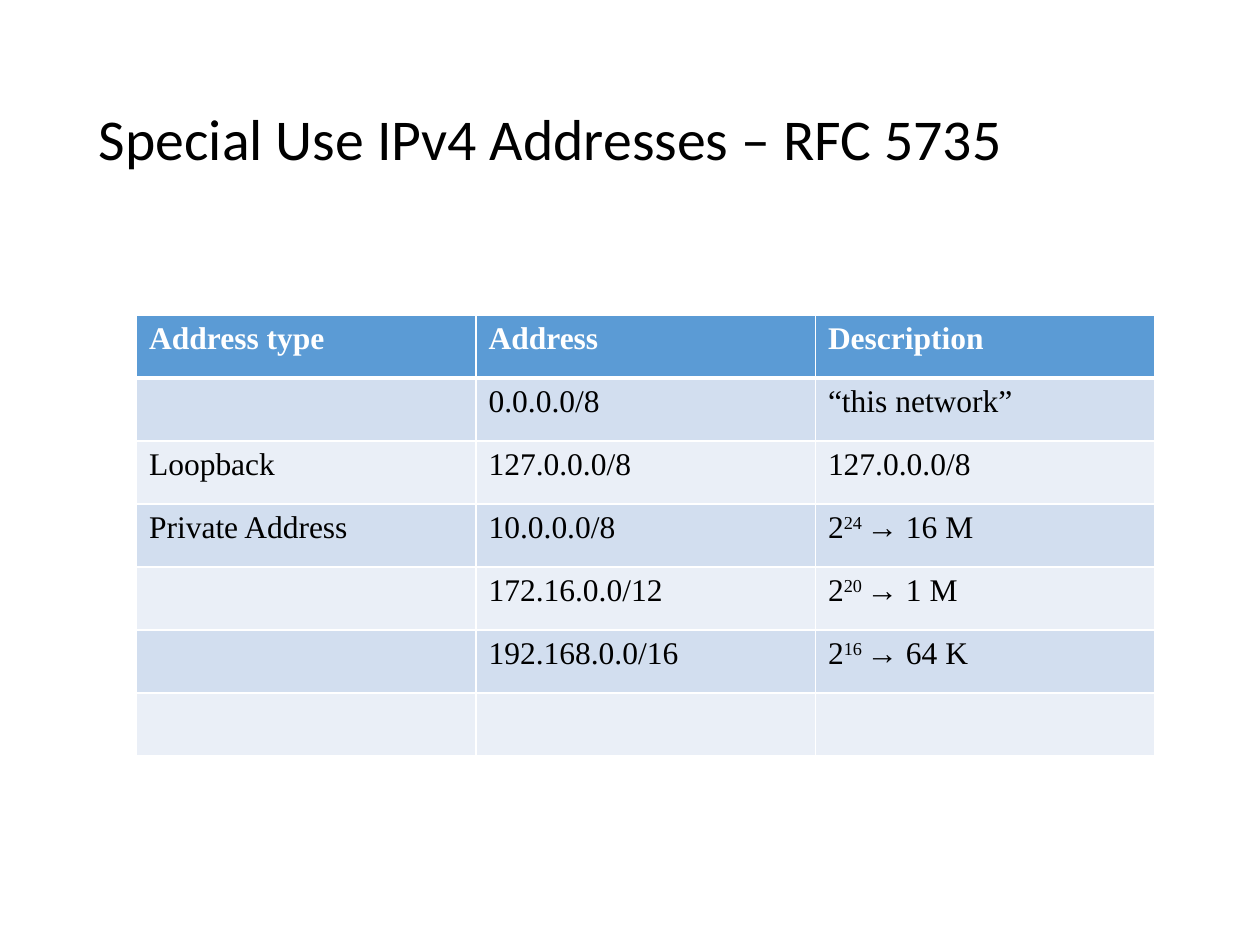
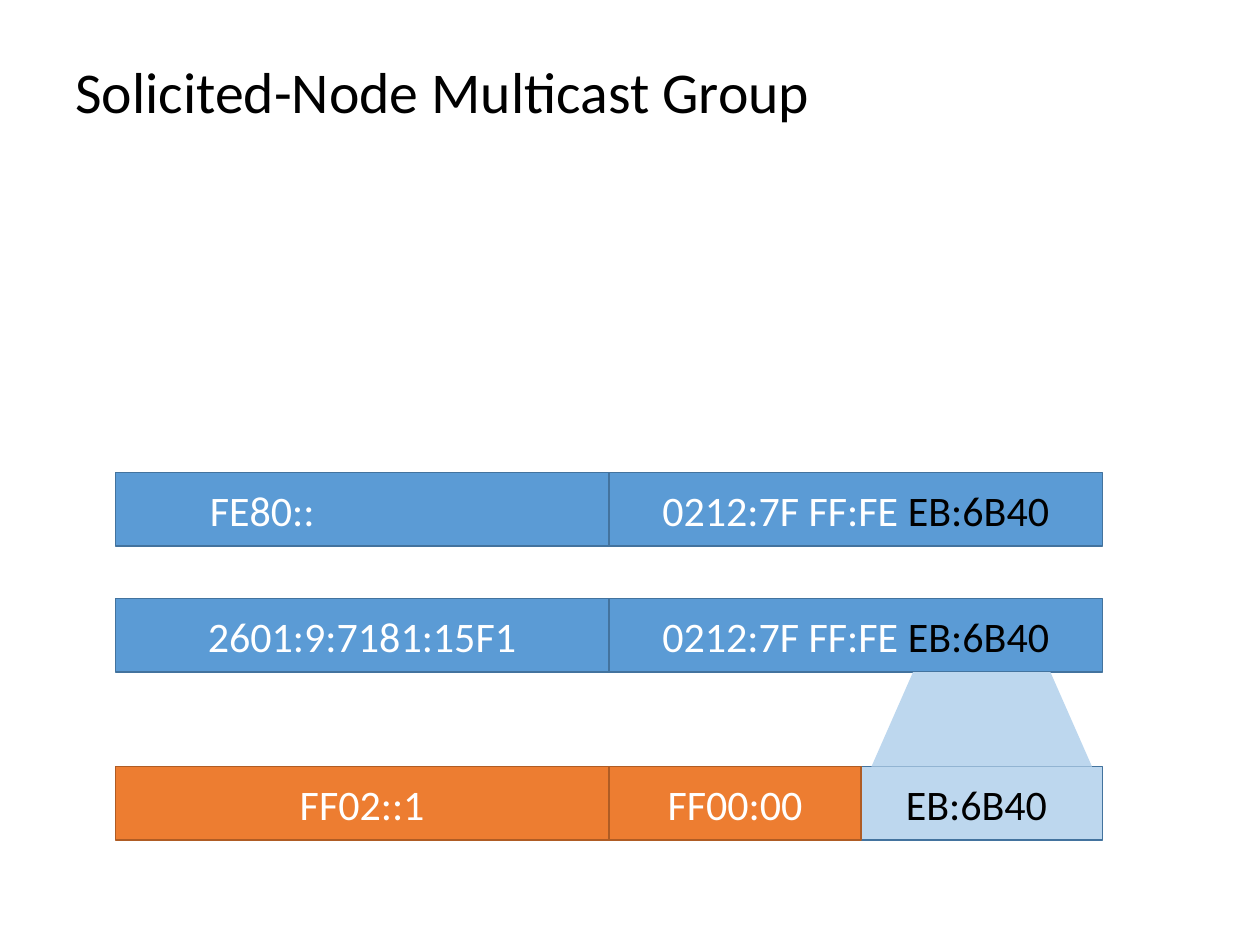
import pptx
import pptx.dml.color
import pptx.enum.shapes
import pptx.enum.text
import pptx.oxml.ns
import pptx.util
import lxml.etree

SHAPES = pptx.enum.shapes.MSO_SHAPE
ALIGN = pptx.enum.text.PP_ALIGN
MIDDLE = pptx.enum.text.MSO_ANCHOR.MIDDLE


class AddressDeck:
    COLUMNS, ROWS = 120, 90
    COLORS = {
        "ink": "000000", "paper": "FFFFFF",
        "blue": "5B9BD5", "blue_edge": "43739E", "pale_blue": "BDD7EE",
        "orange": "ED7D31", "orange_edge": "AF5C24",
        "band_dark": "D2DEEF", "band_light": "EAEFF7",
    }
    HEADING_FONT, TABLE_FONT = "Calibri", "Times New Roman"

    def __init__(self):
        self.deck = pptx.Presentation()
        self.deck.slide_width = pptx.util.Inches(10)
        self.deck.slide_height = pptx.util.Inches(7.5)
        self.slide = None

    def color(self, name):
        return pptx.dml.color.RGBColor.from_string(self.COLORS[name])

    def across(self, columns):
        return round(self.deck.slide_width * columns / self.COLUMNS)

    def down(self, rows):
        return round(self.deck.slide_height * rows / self.ROWS)

    def place(self, left, top, width, height):
        return self.across(left), self.down(top), self.across(width), self.down(height)

    def new_slide(self):
        self.slide = self.deck.slides.add_slide(self.deck.slide_layouts[6])

    def style(self, paragraph, font, size, color, bold=False):
        paragraph.font.name = font
        paragraph.font.size = pptx.util.Pt(size)
        paragraph.font.bold = bold
        paragraph.font.color.rgb = self.color(color)

    def title(self, text, *area):
        frame = self.slide.shapes.add_textbox(*self.place(*area)).text_frame
        frame.word_wrap = True
        frame.vertical_anchor = MIDDLE
        paragraph = frame.paragraphs[0]
        paragraph.line_spacing = 0.9
        paragraph.add_run().text = text
        self.style(paragraph, self.HEADING_FONT, 33, "ink")

    def shape(self, kind, area, fill, edge=None):
        shape = self.slide.shapes.add_shape(kind, *self.place(*area))
        shape.shadow.inherit = False
        shape.fill.solid()
        shape.fill.fore_color.rgb = self.color(fill)
        if edge:
            shape.line.color.rgb = self.color(edge)
            shape.line.width = pptx.util.Pt(1)
        else:
            shape.line.fill.background()
        return shape

    def field(self, area, text, fill="blue", edge="blue_edge", ink="paper", tail="", indent=None):
        frame = self.shape(SHAPES.RECTANGLE, area, fill, edge).text_frame
        frame.word_wrap = True
        frame.vertical_anchor = MIDDLE
        paragraph = frame.paragraphs[0]
        paragraph.alignment = ALIGN.CENTER
        if indent:
            paragraph.alignment = ALIGN.LEFT
            frame.margin_left = self.across(indent)
        paragraph.add_run().text = text
        self.style(paragraph, self.HEADING_FONT, 24, ink)
        if tail:
            span = paragraph.add_run()
            span.text = tail
            span.font.color.rgb = self.color("ink")

    def border(self, cell, side, width):
        properties = cell._tc.get_or_add_tcPr()
        qualified = pptx.oxml.ns.qn
        line = lxml.etree.SubElement(properties, qualified("a:ln" + side),
                                     w=str(pptx.util.Pt(width)))
        solid = lxml.etree.SubElement(line, qualified("a:solidFill"))
        lxml.etree.SubElement(solid, qualified("a:srgbClr"), val=self.COLORS["paper"])

    def cell(self, cell, content, row):
        header = row == 0
        for side in "LRTB":
            thick = (row, side) in ((0, "B"), (1, "T"))
            self.border(cell, side, 3 if thick else 1)
        cell.fill.solid()
        band = "band_dark" if row % 2 else "band_light"
        cell.fill.fore_color.rgb = self.color("blue" if header else band)
        paragraph = cell.text_frame.paragraphs[0]
        pieces = content if isinstance(content, tuple) else (content,)
        for position, piece in enumerate(pieces):
            if piece:
                span = paragraph.add_run()
                span.text = piece
                if position == 1:
                    span.font._element.set("baseline", "30000")
        self.style(paragraph, self.TABLE_FONT, 18, "paper" if header else "ink", header)

    def table(self, records, left, top, width, row_height):
        area = self.place(left, top, width, row_height * len(records))
        table = self.slide.shapes.add_table(len(records), len(records[0]), *area).table
        for row, record in enumerate(records):
            for column, content in enumerate(record):
                self.cell(table.cell(row, column), content, row)


def special_addresses(page):
    page.new_slide()
    page.title("Special Use IPv4 Addresses – RFC 5735", 8.25, 4.8, 103.5, 17.4)
    records = [
        ("Address type", "Address", "Description"),
        ("", "0.0.0.0/8", "“this network”"),
        ("Loopback", "127.0.0.0/8", "127.0.0.0/8"),
        ("Private Address", "10.0.0.0/8", ("2", "24 ", "→ 16 M")),
        ("", "172.16.0.0/12", ("2", "20 ", "→ 1 M")),
        ("", "192.168.0.0/16", ("2", "16 ", "→ 64 K")),
        ("", "", ""),
    ]
    page.table(records, 13, 30, 97, 6)


def multicast_group(page):
    page.new_slide()
    page.title("Solicited-Node Multicast Group", 6, 4.9, 103.5, 8.2)
    left, half, height = 11, 47, 7
    middle = left + half
    link_local, unicast, multicast = 45, 57, 73
    part = 24
    suffix = "EB:6B40"
    orange = {"fill": "orange", "edge": "orange_edge"}

    page.field((left, unicast, half, height), "2601:9:7181:15F1")
    page.field((left, link_local, half, height), "FE80::", indent=9)
    for top in (unicast, link_local):
        page.field((middle, top, half, height), "0212:7F FF:FE ", tail=suffix)

    page.field((middle + half - part, multicast, part, height), suffix, "pale_blue", ink="ink")
    page.field((left, multicast, half, height), "FF02::1", **orange)
    page.field((middle, multicast, part, height), "FF00:00", **orange)

    below = unicast + height
    funnel = page.shape(SHAPES.TRAPEZOID, (83, below, 21, multicast - below), "pale_blue")
    funnel.adjustments[0] = 0.44


def main():
    page = AddressDeck()
    special_addresses(page)
    multicast_group(page)
    page.deck.save("out.pptx")


if __name__ == "__main__":
    main()
